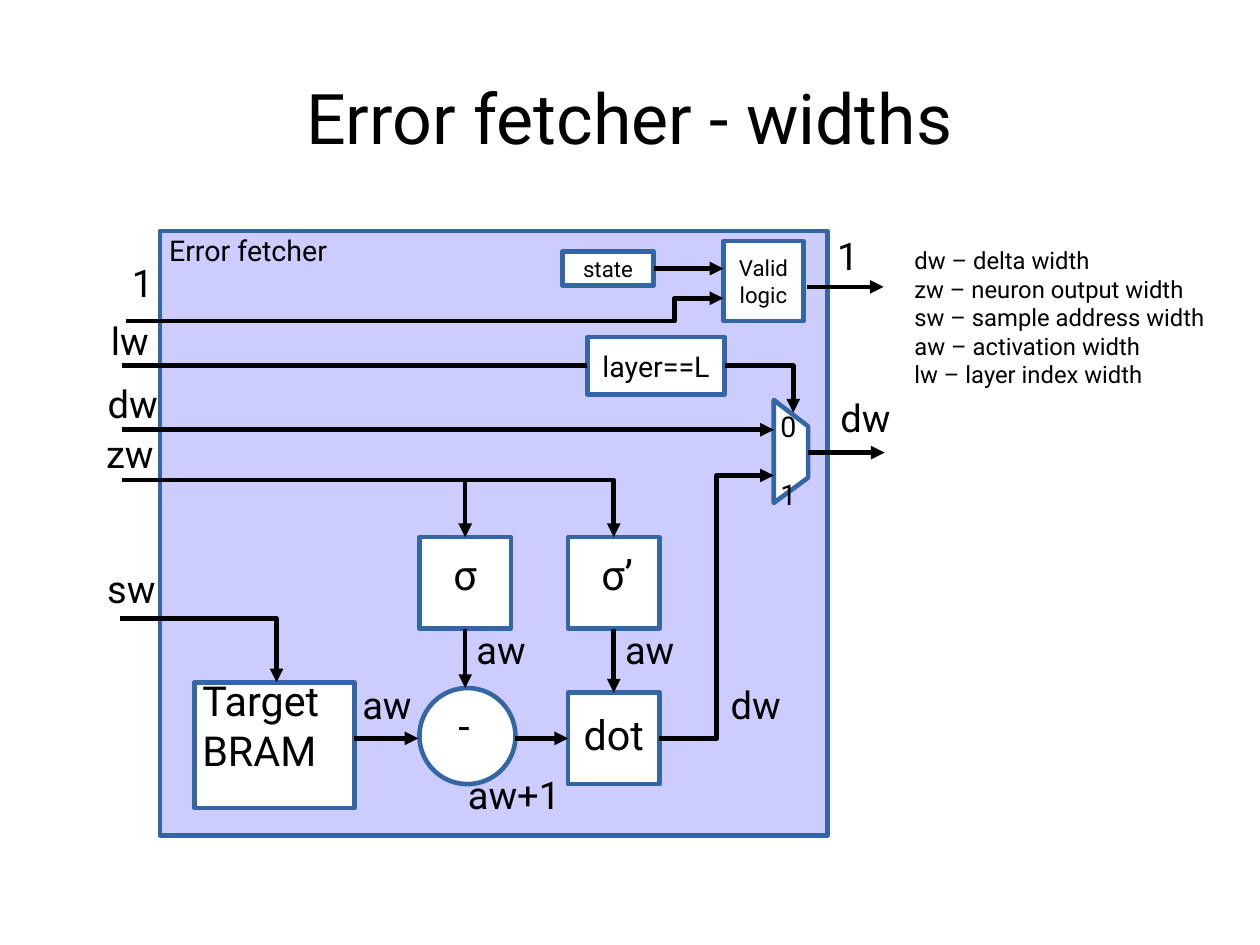
import lxml.etree
import pptx
import pptx.enum.shapes
import pptx.enum.text
import pptx.oxml.ns
import pptx.util
from pptx.dml.color import RGBColor

COLORS = {"frame": "CCCCFF", "box": "FFFFFF", "border": "3465A4", "ink": "000000"}
FONT = "Roboto"
STROKE = pptx.util.Pt(2.89)
SHAPE = pptx.enum.shapes.MSO_SHAPE
ALIGN = pptx.enum.text.PP_ALIGN
ANCHOR = pptx.enum.text.MSO_ANCHOR
TOP, LEFT, BOTTOM, RIGHT = range(4)  # connection sites of a rectangle
LABEL_W, LABEL_H = 12, 5.9


def cells(n):
    """Length of n cells of a square grid, ten to the inch."""
    return pptx.util.Inches(n / 10)


def color(name):
    return RGBColor.from_string(COLORS[name])


def write(sp, text, size=24, align=ALIGN.CENTER, anchor=ANCHOR.MIDDLE,
          margins=(0, 0, 0, 0), gap=0, wrap=True):
    """Put one paragraph per line; margins are left, top, right, bottom in cells."""
    tf = sp.text_frame
    tf.auto_size = pptx.enum.text.MSO_AUTO_SIZE.NONE
    tf.word_wrap = wrap
    tf.vertical_anchor = anchor
    tf.margin_left, tf.margin_top, tf.margin_right, tf.margin_bottom = map(cells, margins)
    for i, line in enumerate(text.split("\n")):
        p = tf.paragraphs[0] if i == 0 else tf.add_paragraph()
        p.alignment = align
        p.space_before = p.space_after = pptx.util.Pt(gap)
        r = p.add_run()
        r.text = line
        r.font.name, r.font.size = FONT, pptx.util.Pt(size)
        r.font.color.rgb = color("ink")


def place(sp, x, y, w, h):
    sp.left, sp.top, sp.width, sp.height = map(cells, (x, y, w, h))


def paint(sp, fill):
    sp.shadow.inherit = False
    sp.fill.solid()
    sp.fill.fore_color.rgb = color(fill)
    sp.line.color.rgb = color("border")
    sp.line.width = STROKE


def box(slide, x, y, w, h, text, kind=SHAPE.RECTANGLE, fill="box", **fmt):
    sp = slide.shapes.add_shape(kind, *map(cells, (x, y, w, h)))
    paint(sp, fill)
    write(sp, text, **fmt)
    return sp


def label(slide, edge, y, text, align=ALIGN.LEFT, size=24, gap=2.8):
    """Text that starts, or ends when right-aligned, at the given edge."""
    x = edge - LABEL_W if align == ALIGN.RIGHT else edge
    sp = slide.shapes.add_textbox(*map(cells, (x, y, LABEL_W, LABEL_H)))
    write(sp, text, size=size, align=align, anchor=ANCHOR.TOP,
          margins=(1, 0.5, 1, 0.5), gap=gap)


def outline(slide, points, close):
    pts = [(cells(x), cells(y)) for x, y in points]
    builder = slide.shapes.build_freeform(*pts[0], scale=1.0)
    builder.add_line_segments(pts[1:], close=close)
    return builder.convert_to_shape()


def ink_line(sp, arrow):
    sp.line.color.rgb = color("ink")
    sp.line.width = STROKE
    if arrow:
        ln = sp._element.spPr.find(pptx.oxml.ns.qn("a:ln"))
        lxml.etree.SubElement(ln, pptx.oxml.ns.qn("a:tailEnd"), type="triangle")


def bent_arrow(slide, *points):
    sp = outline(slide, points, close=False)
    sp.shadow.inherit = False
    sp.fill.background()
    ink_line(sp, arrow=True)


def wire(slide, start, end, begin=None, finish=None, arrow=True):
    """Straight line; begin and finish are (shape, site) pairs to join."""
    c = slide.shapes.add_connector(pptx.enum.shapes.MSO_CONNECTOR.STRAIGHT,
                                   *map(cells, start + end))
    if begin:
        c.begin_connect(*begin)
    if finish:
        c.end_connect(*finish)
    ink_line(c, arrow)
    lxml.etree.SubElement(c._element.spPr, pptx.oxml.ns.qn("a:effectLst"))


def legend(slide):
    sp = slide.placeholders[1]
    place(sp, 79, 21, 28, 15)
    write(sp, "dw – delta width\nzw – neuron output width\nsw – sample address width\n"
              "aw – activation width\nlw – layer index width",
          size=15, align=ALIGN.LEFT, anchor=ANCHOR.TOP, margins=(1, 0.5, 1, 0.5))
    for p in sp.text_frame.paragraphs:
        pPr = p._p.get_or_add_pPr()
        pPr.set("marL", "0")
        pPr.set("indent", "0")
        lxml.etree.SubElement(pPr, pptx.oxml.ns.qn("a:buNone"))


def main():
    prs = pptx.Presentation()
    prs.slide_width, prs.slide_height = pptx.util.Cm(28), pptx.util.Cm(21)
    slide = prs.slides.add_slide(prs.slide_layouts[1])

    # Title and legend
    place(slide.shapes.title, 5.5, 3.3, 99.2, 13.8)
    write(slide.shapes.title, "Error fetcher - widths", size=44)
    legend(slide)

    # Blocks
    corner = {"align": ALIGN.LEFT, "anchor": ANCHOR.TOP}
    box(slide, 14, 20.2, 58.4, 52.9, "Error fetcher", fill="frame", size=18,
        margins=(0.8, 0.2, 0, 0), **corner)
    state = box(slide, 49.2, 22, 8, 3, "state", size=14, wrap=False)
    box(slide, 63.3, 21.1, 7, 7, "Valid\nlogic", size=14, wrap=False)
    layer = box(slide, 51.4, 29.5, 12, 5, "layer==L", size=18, wrap=False)
    sigma, sigma_prime = [
        box(slide, x, 47, 8, 8, text, size=26, margins=(inset, 0, 0, 1.6))
        for x, text, inset in ((36.7, "σ", 0), (49.7, "σ’", 0.6))]
    box(slide, 36.7, 60.2, 8.4, 8.4, "-", kind=SHAPE.OVAL, size=26,
        margins=(0, 0, 0.6, 2))
    dot = box(slide, 49.7, 60.6, 8, 8, "dot", size=26, margins=(0, 0, 0, 0.8))
    box(slide, 17, 59.7, 14, 11, "Target\nBRAM", size=26,
        margins=(0.7, -0.6, 0, 0), **corner)
    mux = outline(slide, [(67.7, 44), (67.7, 35), (70.7, 37.3), (70.7, 41.8)], close=True)
    paint(mux, "box")

    # Straight wires
    wire(slide, (57.2, 23.5), (63.3, 23.5), begin=(state, RIGHT))
    wire(slide, (70.6, 25.1), (77.3, 25.1))
    wire(slide, (10.7, 32), (51.4, 32), finish=(layer, LEFT), arrow=False)
    wire(slide, (10.7, 37.6), (67.7, 37.6))
    wire(slide, (70.7, 39.6), (77.4, 39.6))
    wire(slide, (40.7, 42), (40.7, 47), finish=(sigma, TOP))
    wire(slide, (40.7, 55), (40.7, 60.2), begin=(sigma, BOTTOM))
    wire(slide, (53.7, 55), (53.7, 60.6), begin=(sigma_prime, BOTTOM), finish=(dot, TOP))
    wire(slide, (31, 64.6), (36.6, 64.6))
    wire(slide, (45.1, 64.6), (49.7, 64.6), finish=(dot, LEFT))

    # Bent wires
    bent_arrow(slide, (11, 28.1), (59, 28.1), (59, 26.1), (63.3, 26.1))
    bent_arrow(slide, (63.4, 32), (69.4, 32), (69.4, 36.1))
    bent_arrow(slide, (10.7, 42), (53.7, 42), (53.7, 47))
    bent_arrow(slide, (10.5, 54.1), (24.2, 54.1), (24.2, 59.7))
    bent_arrow(slide, (57.7, 64.6), (62.7, 64.6), (62.7, 41.6), (67.7, 41.6))

    # Width labels
    for x, y, text in ((8.3, 37.2, "zw"), (8.4, 49, "sw"),
                       (40.7, 54.3, "aw"), (53.7, 54.3, "aw")):
        label(slide, x, y, text)
    for x, y, text in ((14.4, 22.2, "1"), (14, 27.3, "lw"), (14.8, 32.8, "dw"),
                       (76.1, 19.8, "1"), (78.9, 34, "dw"), (37, 59.1, "aw"),
                       (50, 67, "aw+1"), (69.3, 59.1, "dw")):
        label(slide, x, y, text, align=ALIGN.RIGHT)
    for y, text in ((35.3, "0"), (41.2, "1")):
        label(slide, 67.3, y, text, size=18, gap=0)

    prs.save("out.pptx")


if __name__ == "__main__":
    main()
